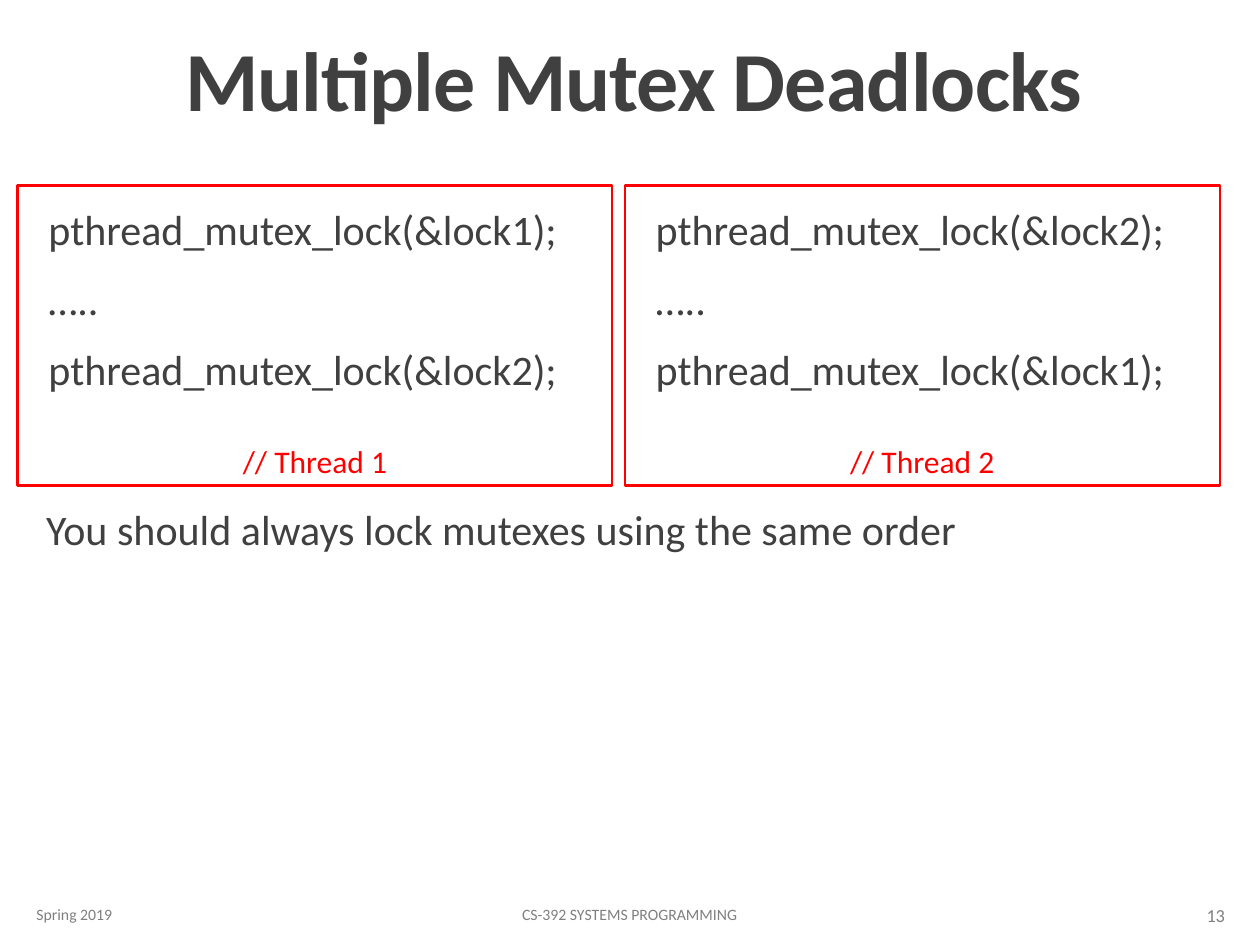
import pptx
import pptx.util
import pptx.dml.color
import pptx.enum.shapes
import pptx.enum.text

Pt = pptx.util.Pt
ALIGN = pptx.enum.text.PP_ALIGN
ANCHOR = pptx.enum.text.MSO_ANCHOR
DARK, GREY, RED = "404040", "808080", "FF0000"
BODY_MARGINS = (0, 3.6, 0, 3.6)
DEFAULT_MARGINS = (7.2, 3.6, 7.2, 3.6)


def color(value):
    """Return the RGB colour of a hex string."""
    return pptx.dml.color.RGBColor.from_string(value)


def set_values(target, values):
    """Set every attribute in values on target."""
    for name, value in values.items():
        setattr(target, name, value)


def write_text(shape, lines, size, text_color, align=ALIGN.LEFT, anchor=ANCHOR.MIDDLE,
               margins=DEFAULT_MARGINS, line_spacing=1.0, space_before=0, space_after=0,
               indent=0, bold=False):
    """Fill a shape with uniformly formatted paragraphs and return its frame."""
    frame = shape.text_frame
    left, top, right, bottom = map(Pt, margins)
    set_values(frame, {"word_wrap": True, "vertical_anchor": anchor, "margin_left": left,
                       "margin_top": top, "margin_right": right, "margin_bottom": bottom})
    for index, line in enumerate(lines):
        paragraph = frame.add_paragraph() if index else frame.paragraphs[0]
        set_values(paragraph, {"alignment": align, "line_spacing": line_spacing,
                               "space_before": Pt(space_before if index else 0),
                               "space_after": Pt(space_after)})
        if indent:
            paragraph._p.get_or_add_pPr().set("marL", str(Pt(indent)))
        run = paragraph.add_run()
        run.text = line
        set_values(run.font, {"name": "Calibri", "size": Pt(size), "bold": bold})
        run.font.color.rgb = color(text_color)
    return frame


def add_text(slide, box, lines, size, text_color, **text_format):
    """Add a text box at the given box."""
    shape = slide.shapes.add_textbox(*map(Pt, box))
    return write_text(shape, lines, size, text_color, **text_format)


def add_title(slide, box, title):
    """Add the slide title with slightly tightened letters."""
    frame = add_text(slide, box, [title], 48, DARK, align=ALIGN.CENTER,
                     anchor=ANCHOR.BOTTOM, line_spacing=0.85, bold=True)
    frame.paragraphs[0].runs[0]._r.get_or_add_rPr().set("spc", "-50")


def add_body(slide, box, lines, indent):
    """Add body paragraphs."""
    add_text(slide, box, lines, 24, DARK, anchor=ANCHOR.TOP, margins=BODY_MARGINS,
             line_spacing=0.9, space_before=12, space_after=2, indent=indent)


def add_thread_panel(slide, box, label, first_lock, second_lock):
    """Add one thread's code inside a labelled red frame."""
    left, top, width, height = box
    code = [f"pthread_mutex_lock(&{first_lock});", "…..", f"pthread_mutex_lock(&{second_lock});"]
    add_body(slide, (left + 10.5, top + 10, width - 10.5, 150), code, 7.2)
    frame = slide.shapes.add_shape(pptx.enum.shapes.MSO_SHAPE.RECTANGLE, *map(Pt, box))
    frame.shadow.inherit = False
    frame.fill.background()
    frame.line.color.rgb = color(RED)
    frame.line.width = Pt(1.25)
    write_text(frame, [label], 18, RED, align=ALIGN.CENTER, anchor=ANCHOR.BOTTOM)


def add_footer(slide, box):
    """Add the term, course and slide number along the footer box."""
    left, top, width, height = box
    add_text(slide, (left, top, 146, height), ["Spring 2019"], 9, GREY)
    add_text(slide, (left + 203.5, top, 285, height), ["CS-392 SYSTEMS PROGRAMMING"], 9, GREY,
             align=ALIGN.CENTER)
    add_text(slide, (left + width - 78, top + 0.5, 78, height), ["13"], 10.5, GREY,
             align=ALIGN.RIGHT)


def main():
    """Build and save the slide."""
    presentation = pptx.Presentation()
    set_values(presentation, {"slide_width": Pt(720), "slide_height": Pt(540)})
    slide = presentation.slides.add_slide(presentation.slide_layouts[6])
    add_title(slide, (65, 3, 594, 74), "Multiple Mutex Deadlocks")
    threads = [("// Thread 1", "lock1", "lock2"), ("// Thread 2", "lock2", "lock1")]
    for index, thread in enumerate(threads):
        add_thread_panel(slide, (10 + 347 * index, 106, 340, 171.5), *thread)
    add_body(slide, (13.7, 287.3, 692.6, 202.3),
             ["You should always lock mutexes using the same order"], 12.6)
    add_footer(slide, (13.7, 508.3, 693.4, 28.8))
    presentation.save("out.pptx")


if __name__ == "__main__":
    main()
